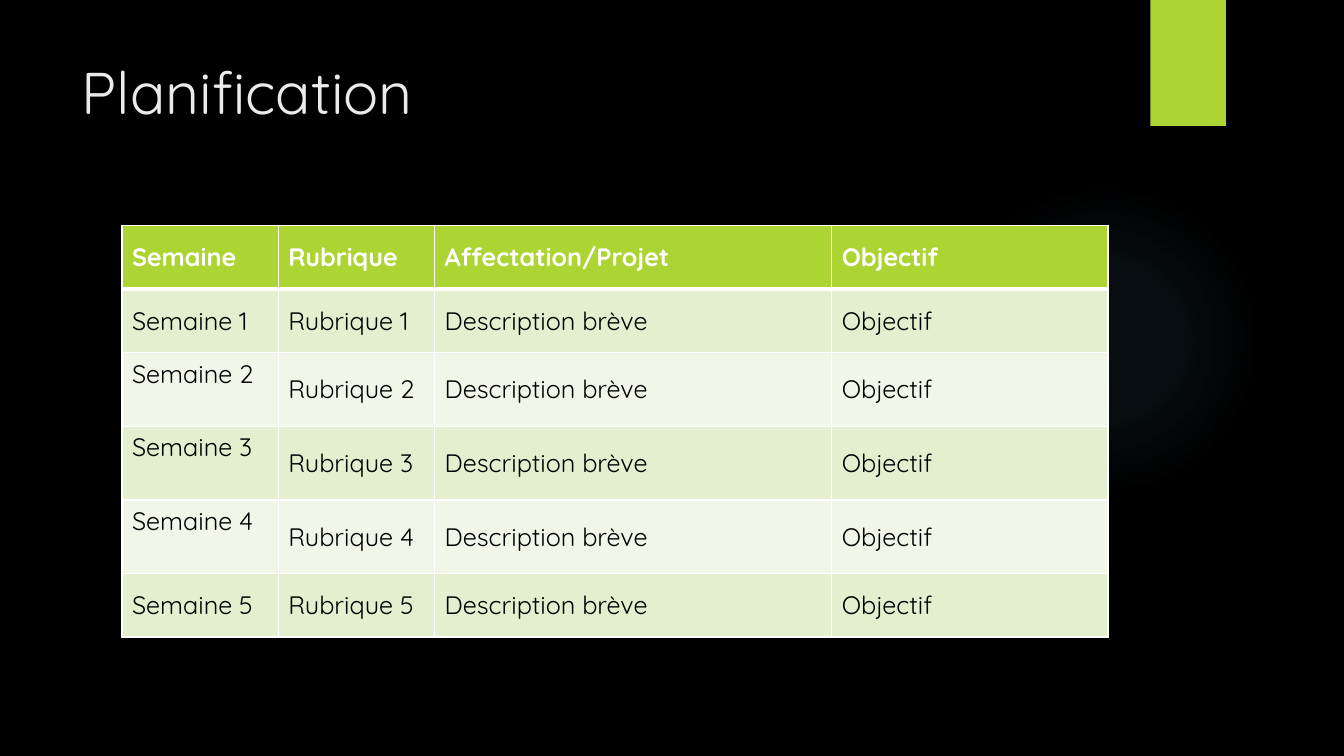
from lxml.etree import SubElement
from pptx import Presentation
from pptx.dml.color import RGBColor
from pptx.enum.shapes import MSO_SHAPE
from pptx.enum.text import MSO_ANCHOR, PP_ALIGN
from pptx.oxml.ns import qn
from pptx.util import Inches, Pt

COLORS = {
    "background": "000000",
    "accent": "ACD433",
    "glow": "7AC4F0",
    "title": "EBEBEB",
    "header text": "FFFFFF",
    "body text": "000000",
    "border": "FFFFFF",
    "odd row": "E3EFCE",
    "even row": "F1F7E8",
}
FONT = "Quicksand"
GLOW_STOPS = [(0, 7), (36, 6), (69, 0)]  # position and opacity, in percent

HEADERS = ["Semaine", "Rubrique", "Affectation/Projet", "Objectif"]
WEEKS = 5
COLUMN_WIDTHS = [1.55, 1.55, 3.94, 2.74]
ROW_HEIGHTS = [0.63, 0.63, 0.73, 0.73, 0.73, 0.63]
TALL_ROWS = range(2, 5)


def color(name):
    return RGBColor.from_string(COLORS[name])


def format_font(font, color_name, **values):
    for name, value in {"name": FONT, **values}.items():
        setattr(font, name, value)
    font.color.rgb = color(color_name)


def add_plain_shape(slide, kind, box):
    shape = slide.shapes.add_shape(kind, *map(Inches, box))
    shape.shadow.inherit = False
    shape.line.fill.background()
    return shape


def add_glow(slide, box):
    """Soft round light that fades out from its centre."""
    shape = add_plain_shape(slide, MSO_SHAPE.OVAL, box)
    shape.fill.gradient()
    gradient = shape.element.spPr.find(qn("a:gradFill"))
    for child in list(gradient):
        gradient.remove(child)
    stops = SubElement(gradient, qn("a:gsLst"))
    for position, opacity in GLOW_STOPS:
        stop = SubElement(stops, qn("a:gs"), pos=str(position * 1000))
        stop_color = SubElement(stop, qn("a:srgbClr"), val=COLORS["glow"])
        SubElement(stop_color, qn("a:alpha"), val=str(opacity * 1000))
    circle = SubElement(gradient, qn("a:path"), {"path": "circle"})
    SubElement(circle, qn("a:fillToRect"), dict.fromkeys("ltrb", "50000"))


def add_tab(slide, box):
    """Green tab hanging from the top edge."""
    shape = add_plain_shape(slide, MSO_SHAPE.RECTANGLE, box)
    shape.fill.solid()
    shape.fill.fore_color.rgb = color("accent")


def add_title(slide, box, text):
    title = slide.shapes.title
    for name, value in zip(("left", "top", "width", "height"), box):
        setattr(title, name, Inches(value))
    frame = title.text_frame
    frame.text = text
    frame.word_wrap = True
    frame.vertical_anchor = MSO_ANCHOR.TOP
    paragraph = frame.paragraphs[0]
    paragraph.alignment = PP_ALIGN.LEFT
    paragraph.line_spacing = 1.0
    format_font(paragraph.runs[0].font, "title", size=Pt(42), bold=False)


def set_borders(cell, top, bottom):
    """White borders; top and bottom widths are in points."""
    properties = cell._tc.get_or_add_tcPr()
    for side, width in {"L": 1, "R": 1, "T": top, "B": bottom}.items():
        line = SubElement(properties, qn(f"a:ln{side}"), w=str(Pt(width)))
        fill = SubElement(line, qn("a:solidFill"))
        SubElement(fill, qn("a:srgbClr"), val=COLORS["border"])


def fill_cell(cell, text, row, column):
    header = row == 0
    set_borders(cell, top=3 if row == 1 else 1, bottom=3 if header else 1)
    background = "accent" if header else "odd row" if row % 2 else "even row"
    cell.fill.solid()
    cell.fill.fore_color.rgb = color(background)
    at_top = column == 0 and row in TALL_ROWS
    cell.vertical_anchor = MSO_ANCHOR.TOP if at_top else MSO_ANCHOR.MIDDLE
    cell.text = text
    text_color = "header text" if header else "body text"
    format_font(cell.text_frame.paragraphs[0].runs[0].font, text_color,
                size=Pt(18), bold=header)


def add_schedule(slide, left, top):
    rows = [HEADERS] + [
        [f"Semaine {week}", f"Rubrique {week}", "Description brève", "Objectif"]
        for week in range(1, WEEKS + 1)
    ]
    table = slide.shapes.add_table(
        len(rows), len(HEADERS), Inches(left), Inches(top),
        Inches(sum(COLUMN_WIDTHS)), Inches(sum(ROW_HEIGHTS))).table
    for column, width in zip(table.columns, COLUMN_WIDTHS):
        column.width = Inches(width)
    for row, height in zip(table.rows, ROW_HEIGHTS):
        row.height = Inches(height)
    for row, texts in enumerate(rows):
        for column, text in enumerate(texts):
            fill_cell(table.cell(row, column), text, row, column)


def build_planning_slide(presentation):
    slide = presentation.slides.add_slide(presentation.slide_layouts[5])
    slide.background.fill.solid()
    slide.background.fill.fore_color.rgb = color("background")
    add_glow(slide, (9.41, 1.83, 3.08, 3.08))
    add_tab(slide, (11.41, 0, 0.75, 1.25))
    add_title(slide, (0.71, 0.5, 10.29, 1.53), "Planification")
    add_schedule(slide, 1.21, 2.24)


def main():
    presentation = Presentation()
    presentation.slide_width = Inches(13.33)
    presentation.slide_height = Inches(7.5)
    build_planning_slide(presentation)
    presentation.save("out.pptx")


if __name__ == "__main__":
    main()
